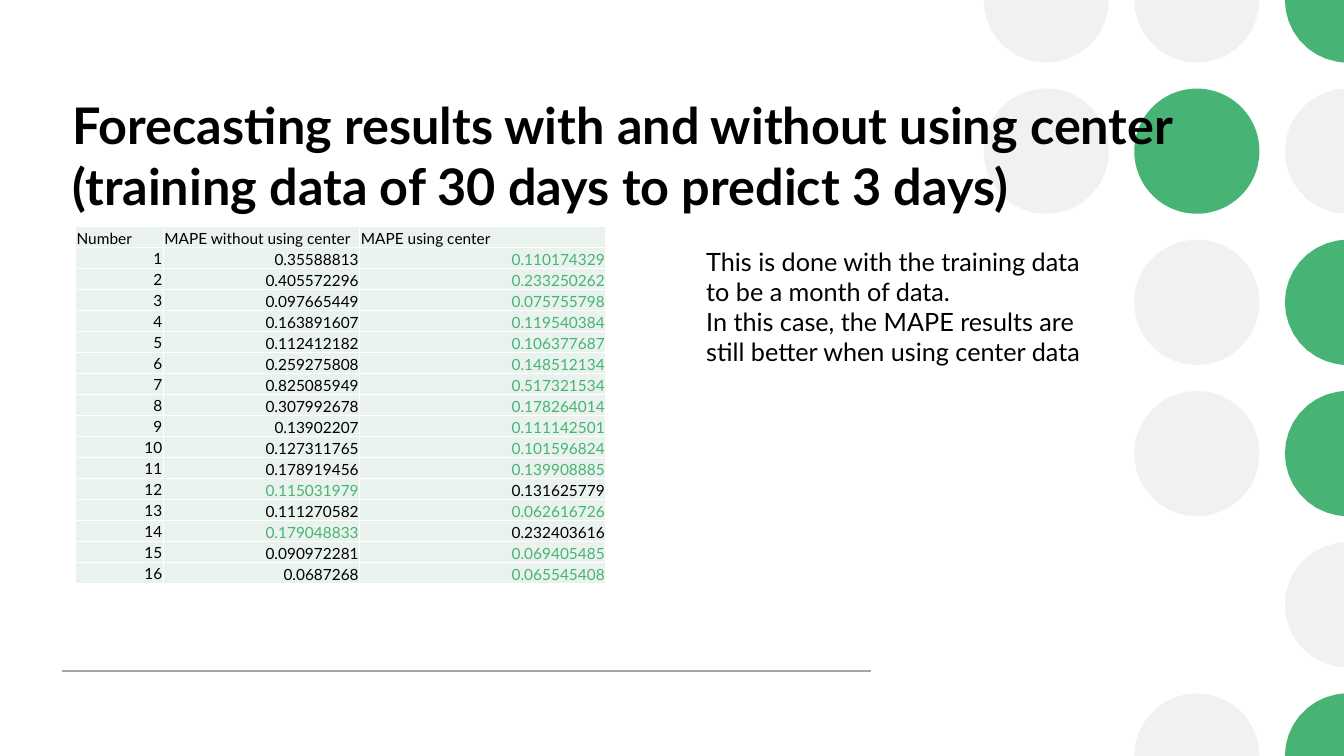
import dataclasses
import math
import typing

import lxml.etree
import pptx
import pptx.dml.color
import pptx.enum.shapes
import pptx.enum.text
import pptx.oxml.ns
import pptx.util

# Slide grid: 160 columns by 90 rows, twelve to the inch
COLS, ROWS = 160, 90
UNIT = pptx.util.Inches(1 / 12)

HEX = {"ink": "000000", "green": "47B476", "grey": "F3F0F2",
       "mint": "E9F2EC", "rule": "A6A6A6", "white": "FFFFFF"}
FONT = "Lato"

TITLE = ("Forecasting results with and without using center "
         "(training data of 30 days to predict 3 days)")
NOTES = ("This is done with the training data to be a month of data.",
         "In this case, the MAPE results are still better when using center data")
HEADS = ("Number", "MAPE without using center", "MAPE using center")
WIDTHS = (10.44, 23.4, 29.3)
ROW_HIGH = 2.5
# One string per dot row: g = green, o = grey, . = no dot
DOT_MAP = ("oog", "ogo", ".og", ".og", "..o", ".og")
DOT_LEFT, DOT_STEP_X, DOT_STEP_Y, DOT_SIZE = 124.56, 17.93, 18, 7.45


@dataclasses.dataclass
class Dot:
    x: float
    y: float
    color: str


@dataclasses.dataclass
class Trial:
    plain: str
    center: str


TRIALS = [Trial(*pair) for pair in (
    ("0.35588813", "0.110174329"), ("0.405572296", "0.233250262"),
    ("0.097665449", "0.075755798"), ("0.163891607", "0.119540384"),
    ("0.112412182", "0.106377687"), ("0.259275808", "0.148512134"),
    ("0.825085949", "0.517321534"), ("0.307992678", "0.178264014"),
    ("0.13902207", "0.111142501"), ("0.127311765", "0.101596824"),
    ("0.178919456", "0.139908885"), ("0.115031979", "0.131625779"),
    ("0.111270582", "0.062616726"), ("0.179048833", "0.232403616"),
    ("0.090972281", "0.069405485"), ("0.0687268", "0.065545408"))]

ALIGN = pptx.enum.text.PP_ALIGN
ANCHOR = pptx.enum.text.MSO_ANCHOR
FIT = pptx.enum.text.MSO_AUTO_SIZE


def grid(*counts: float) -> list[int]:
    return [round(count * UNIT) for count in counts]


def tint(name: str) -> pptx.dml.color.RGBColor:
    return pptx.dml.color.RGBColor.from_string(HEX[name])


def apply(target: typing.Any, values: dict[str, typing.Any]) -> None:
    for name, value in values.items():
        setattr(target, name, value)


def write(part: typing.Any, text: str, size: float, color: str = "ink",
          bold: bool = False, align: typing.Any = ALIGN.LEFT) -> None:
    part.alignment = align
    run = part.add_run()
    run.text = text
    apply(run.font, {"name": FONT, "size": pptx.util.Pt(size), "bold": bold})
    run.font.color.rgb = tint(color)


def trim(dot: Dot) -> list[tuple[int, ...]]:
    """Outline of a dot cut off at the slide's edge."""
    points = []
    for angle in range(0, 360, 10):
        turn = math.radians(angle)
        x = dot.x + DOT_SIZE * math.cos(turn)
        y = dot.y + DOT_SIZE * math.sin(turn)
        near = min(COLS, max(0, x)), min(ROWS, max(0, y))
        if angle % 90 == 0 or near == (x, y):
            points.append(tuple(grid(*near)))
    return points


def draw_dot(slide: typing.Any, dot: Dot) -> None:
    size = DOT_SIZE
    if size <= dot.x <= COLS - size and size <= dot.y <= ROWS - size:
        shape = slide.shapes.add_shape(
            pptx.enum.shapes.MSO_SHAPE.OVAL,
            *grid(dot.x - size, dot.y - size, 2 * size, 2 * size))
    else:
        points = trim(dot)
        pen = slide.shapes.build_freeform(*points[0])
        pen.add_line_segments(points[1:], close=True)
        shape = pen.convert_to_shape()
    shape.shadow.inherit = False
    shape.fill.solid()
    shape.fill.fore_color.rgb = tint(dot.color)
    shape.line.fill.background()


def draw_rule(slide: typing.Any) -> None:
    rule = slide.shapes.add_connector(
        pptx.enum.shapes.MSO_CONNECTOR.STRAIGHT, *grid(7.4, 79.9, 103.7, 79.9))
    rule.line.width = pptx.util.Pt(1)
    rule.line.color.rgb = tint("rule")
    lxml.etree.SubElement(rule.element.spPr, pptx.oxml.ns.qn("a:effectLst"))


def draw_title(slide: typing.Any) -> None:
    title = slide.shapes.title
    apply(title, dict(zip(("left", "top", "width", "height"),
                          grid(7.44, 10.1, 146.8, 16.7))))
    apply(title.text_frame, {"word_wrap": True, "auto_size": FIT.NONE,
                             "vertical_anchor": ANCHOR.MIDDLE})
    write(title.text_frame.paragraphs[0], TITLE, 36, bold=True)
    # Bring the title in front of the dots
    title.element.getparent().append(title.element)


def draw_notes(slide: typing.Any) -> None:
    frame = slide.shapes.add_textbox(*grid(82.9, 28.7, 49.2, 19.4)).text_frame
    apply(frame, {"word_wrap": True, "auto_size": FIT.SHAPE_TO_FIT_TEXT})
    for index, note in enumerate(NOTES):
        write(frame.add_paragraph() if index else frame.paragraphs[0], note, 18)


def fill_cell(cell: typing.Any, text: str, color: str, align: typing.Any,
              anchor: typing.Any) -> None:
    edge = pptx.util.Inches(0.01)
    apply(cell, {"margin_left": edge, "margin_right": edge, "margin_top": edge,
                 "margin_bottom": 0, "vertical_anchor": anchor})
    cell.fill.solid()
    cell.fill.fore_color.rgb = tint("mint")
    write(cell.text_frame.paragraphs[0], text, 11, color, align=align)


def draw_lines(frame: typing.Any) -> None:
    qn = pptx.oxml.ns.qn
    for props in frame.element.iter(qn("a:tcPr")):
        for index, side in enumerate(("lnL", "lnR", "lnT", "lnB")):
            line = lxml.etree.Element(qn("a:" + side), w=str(int(pptx.util.Pt(1))))
            fill = lxml.etree.SubElement(line, qn("a:solidFill"))
            lxml.etree.SubElement(fill, qn("a:srgbClr"), val=HEX["white"])
            props.insert(index, line)


def draw_table(slide: typing.Any) -> None:
    count = len(TRIALS) + 1
    frame = slide.shapes.add_table(
        count, len(HEADS), *grid(9, 27, sum(WIDTHS), count * ROW_HIGH))
    table = frame.table
    apply(table, {"first_row": False, "horz_banding": False})
    for column, width in zip(table.columns, grid(*WIDTHS)):
        column.width = width
    for col, head in enumerate(HEADS):
        fill_cell(table.cell(0, col), head, "ink", ALIGN.LEFT, ANCHOR.BOTTOM)
    for row, trial in enumerate(TRIALS, 1):
        fill_cell(table.cell(row, 0), str(row), "ink", ALIGN.RIGHT, ANCHOR.MIDDLE)
        # The lower error of each pair is green
        best = min(trial.plain, trial.center, key=float)
        for col, value in enumerate((trial.plain, trial.center), 1):
            fill_cell(table.cell(row, col), value,
                      "green" if value == best else "ink",
                      ALIGN.RIGHT, ANCHOR.BOTTOM)
    draw_lines(frame)


def main() -> None:
    deck = pptx.Presentation()
    apply(deck, dict(zip(("slide_width", "slide_height"), grid(COLS, ROWS))))
    slide = deck.slides.add_slide(deck.slide_layouts[5])

    # Backdrop
    for row, marks in enumerate(DOT_MAP):
        for col, mark in enumerate(marks):
            if mark != ".":
                draw_dot(slide, Dot(DOT_LEFT + col * DOT_STEP_X, row * DOT_STEP_Y,
                                    "green" if mark == "g" else "grey"))
    draw_rule(slide)

    # Content
    draw_title(slide)
    draw_notes(slide)
    draw_table(slide)
    deck.save("out.pptx")


if __name__ == "__main__":
    main()
